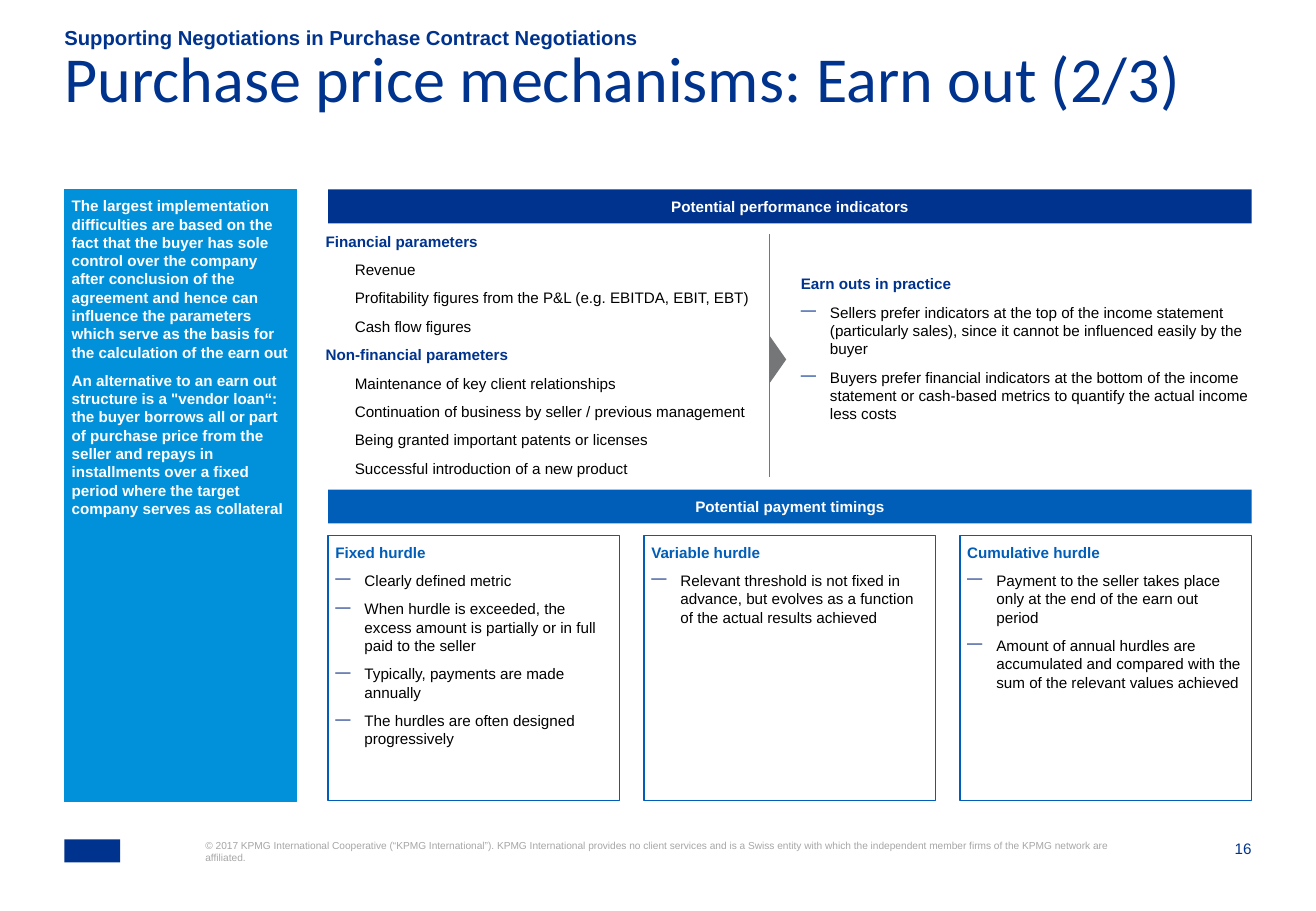
from dataclasses import dataclass

from lxml import etree
from pptx import Presentation
from pptx.dml.color import RGBColor
from pptx.enum.shapes import MSO_CONNECTOR, MSO_SHAPE
from pptx.enum.text import MSO_ANCHOR, PP_ALIGN
from pptx.oxml.ns import qn
from pptx.util import Inches, Pt

RECT, TRIANGLE = MSO_SHAPE.RECTANGLE, MSO_SHAPE.ISOSCELES_TRIANGLE
STRAIGHT = MSO_CONNECTOR.STRAIGHT
LEFT, CENTER, RIGHT = PP_ALIGN.LEFT, PP_ALIGN.CENTER, PP_ALIGN.RIGHT
TOP, MIDDLE, BOTTOM = MSO_ANCHOR.TOP, MSO_ANCHOR.MIDDLE, MSO_ANCHOR.BOTTOM


@dataclass(frozen=True)
class Theme:
    navy: str = "00338D"
    blue: str = "005EB8"
    sky: str = "0091DA"
    dash: str = "0C2D83"
    gray: str = "747678"
    pale: str = "A6A6A6"
    white: str = "FFFFFF"
    black: str = "000000"
    font: str = "Arial"
    title_font: str = "Calibri"
    title: float = 38
    kicker: float = 12
    body: float = 9
    legal: float = 6
    gap: float = 6
    inset: float = 0.06
    indent: float = 0.24


THEME = Theme()

SIDEBAR = [
    "The largest implementation difficulties are based on the fact that the buyer has sole "
    "control over the company after conclusion of the agreement and hence can influence the "
    "parameters which serve as the basis for the calculation of the earn out",
    "An alternative to an earn out structure is a \"vendor loan“: the buyer borrows all or part "
    "of purchase price from the seller and repays in installments over a fixed period where the "
    "target company serves as collateral",
]
INDICATORS = {
    "Financial parameters": [
        "Revenue",
        "Profitability figures from the P&L (e.g. EBITDA, EBIT, EBT)",
        "Cash flow figures",
    ],
    "Non-financial parameters": [
        "Maintenance of key client relationships",
        "Continuation of business by seller / previous management",
        "Being granted important patents or licenses",
        "Successful introduction of a new product",
    ],
}
PRACTICE = {
    "Earn outs in practice": [
        "Sellers prefer indicators at the top of the income statement (particularly sales), "
        "since it cannot be influenced easily by the buyer",
        "Buyers prefer financial indicators at the bottom of the income statement or cash-based "
        "metrics to quantify the actual income less costs",
    ],
}
HURDLES = {
    "Fixed hurdle": [
        "Clearly defined metric",
        "When hurdle is exceeded, the excess amount is partially or in full paid to the seller",
        "Typically, payments are made annually",
        "The hurdles are often designed progressively",
    ],
    "Variable hurdle": [
        "Relevant threshold is not fixed in advance, but evolves as a function of the actual "
        "results achieved",
    ],
    "Cumulative hurdle": [
        "Payment to the seller takes place only at the end of the earn out period",
        "Amount of annual hurdles are accumulated and compared with the sum of the relevant "
        "values achieved",
    ],
}
LEGAL = (
    "© 2017 KPMG International Cooperative (“KPMG International”). KPMG International provides "
    "no client services and is a Swiss entity with which the independent member firms of the "
    "KPMG network are affiliated."
)


def rgb(color):
    return RGBColor.from_string(color)


def inches(box):
    return [Inches(length) for length in box]


def panel(slide, box, fill, line=None, kind=RECT):
    shape = slide.shapes.add_shape(kind, *inches(box))
    shape.shadow.inherit = False
    shape.fill.solid()
    shape.fill.fore_color.rgb = rgb(fill)
    if line:
        shape.line.color.rgb = rgb(line)
        shape.line.width = Pt(0.75)
    else:
        shape.line.fill.background()
    return shape


def text_area(slide, box):
    return slide.shapes.add_textbox(*inches(box))


def frame_of(shape, inset=0, anchor=TOP):
    frame = shape.text_frame
    frame.word_wrap = True
    frame.vertical_anchor = anchor
    frame.margin_left = frame.margin_right = Inches(inset)
    frame.margin_top = frame.margin_bottom = Inches(inset)
    return frame


def indent(paragraph, dash):
    """Indent a list entry, hanging it on a dash if a dash colour is given."""
    properties = paragraph._p.get_or_add_pPr()
    properties.set("marL", str(Inches(THEME.indent)))
    properties.set("indent", str(-Inches(THEME.indent) if dash else 0))
    if dash:
        color = etree.SubElement(properties, qn("a:buClr"))
        etree.SubElement(color, qn("a:srgbClr")).set("val", dash)
        etree.SubElement(properties, qn("a:buChar")).set("char", "—")


def write(frame, text, color, size=THEME.body, bold=False, align=LEFT,
          after=0, font=THEME.font, entry=False, dash=None):
    first = frame.paragraphs[0]
    paragraph = frame.add_paragraph() if first.runs else first
    if entry:
        indent(paragraph, dash)
    paragraph.add_run().text = text
    paragraph.alignment = align
    paragraph.space_after = Pt(after)
    paragraph.font.name = font
    paragraph.font.size = Pt(size)
    paragraph.font.bold = bold
    paragraph.font.color.rgb = rgb(color)
    return paragraph


def write_sections(frame, sections, heading_color, dash=None):
    for heading, entries in sections.items():
        write(frame, heading, heading_color, bold=True, after=THEME.gap)
        for text in entries:
            write(frame, text, THEME.black, after=THEME.gap, entry=True, dash=dash)


def add_header(slide, left, top, width):
    kicker = frame_of(text_area(slide, (left, top, width, 0.19)), anchor=BOTTOM)
    write(kicker, "Supporting Negotiations in Purchase Contract Negotiations",
          THEME.navy, THEME.kicker, bold=True)
    title = frame_of(text_area(slide, (left, top + 0.27, width, 0.79)))
    write(title, "Purchase price mechanisms: Earn out (2/3)", THEME.navy, THEME.title,
          font=THEME.title_font).line_spacing = 0.7


def add_sidebar(slide, box):
    frame = frame_of(panel(slide, box, THEME.sky, THEME.sky), THEME.inset)
    for text in SIDEBAR:
        write(frame, text, THEME.white, bold=True, after=THEME.gap)


def add_banner(slide, left, top, width, text, fill):
    frame = frame_of(panel(slide, (left, top, width, 0.28), fill), THEME.inset, MIDDLE)
    write(frame, text, THEME.white, bold=True, align=CENTER)


def add_divider(slide, x, top, height):
    line = slide.shapes.add_connector(STRAIGHT, *inches((x, top, x, top + height)))
    line.line.color.rgb = rgb(THEME.gray)
    line.line.width = Pt(0.5)
    etree.SubElement(line._element.spPr, qn("a:effectLst"))
    # Arrow pointing right, with its base on the line
    base, depth = 0.4, 0.14
    center_x, center_y = x + depth / 2, top + height / 2 + 0.03
    arrow = panel(slide, (center_x - base / 2, center_y - depth / 2, base, depth),
                  THEME.gray, kind=TRIANGLE)
    arrow.rotation = 90


def add_indicators(slide, left, top, width):
    add_banner(slide, left, top, width, "Potential performance indicators", THEME.navy)
    parameters = frame_of(text_area(slide, (left - 0.02, top + 0.35, 3.71, 1.96)))
    write_sections(parameters, INDICATORS, THEME.navy)
    add_divider(slide, left + 3.63, top + 0.37, 2)
    practice = frame_of(text_area(slide, (left + width - 3.71, top + 0.7, 3.71, 1.4)))
    write_sections(practice, PRACTICE, THEME.navy, THEME.navy)


def add_timings(slide, left, top, width):
    add_banner(slide, left, top, width, "Potential payment timings", THEME.blue)
    gap = 0.2
    card_width = (width - gap * (len(HURDLES) - 1)) / len(HURDLES)
    for column, (heading, entries) in enumerate(HURDLES.items()):
        box = (left + column * (card_width + gap), top + 0.38, card_width, 2.18)
        card = frame_of(panel(slide, box, THEME.white, THEME.blue), THEME.inset)
        write_sections(card, {heading: entries}, THEME.blue, THEME.dash)


def add_footer(slide, left, top, width):
    panel(slide, (left, top, 0.46, 0.19), THEME.navy)
    legal = frame_of(text_area(slide, (left + 1.16, top, 7.49, 0.41)))
    write(legal, LEGAL, THEME.pale, THEME.legal)
    number = frame_of(text_area(slide, (left + width - 0.43, top, 0.43, 0.16)))
    write(number, "16", THEME.navy, align=RIGHT)


def main():
    deck = Presentation()
    deck.slide_width, deck.slide_height = Inches(10.83), Inches(7.5)
    slide = deck.slides.add_slide(deck.slide_layouts[6])
    add_header(slide, 0.53, 0.22, 9.75)
    add_sidebar(slide, (0.53, 1.56, 1.91, 5.04))
    add_indicators(slide, 2.7, 1.56, 7.6)
    add_timings(slide, 2.7, 4.03, 7.6)
    add_footer(slide, 0.53, 6.91, 9.77)
    deck.save("out.pptx")


if __name__ == "__main__":
    main()
